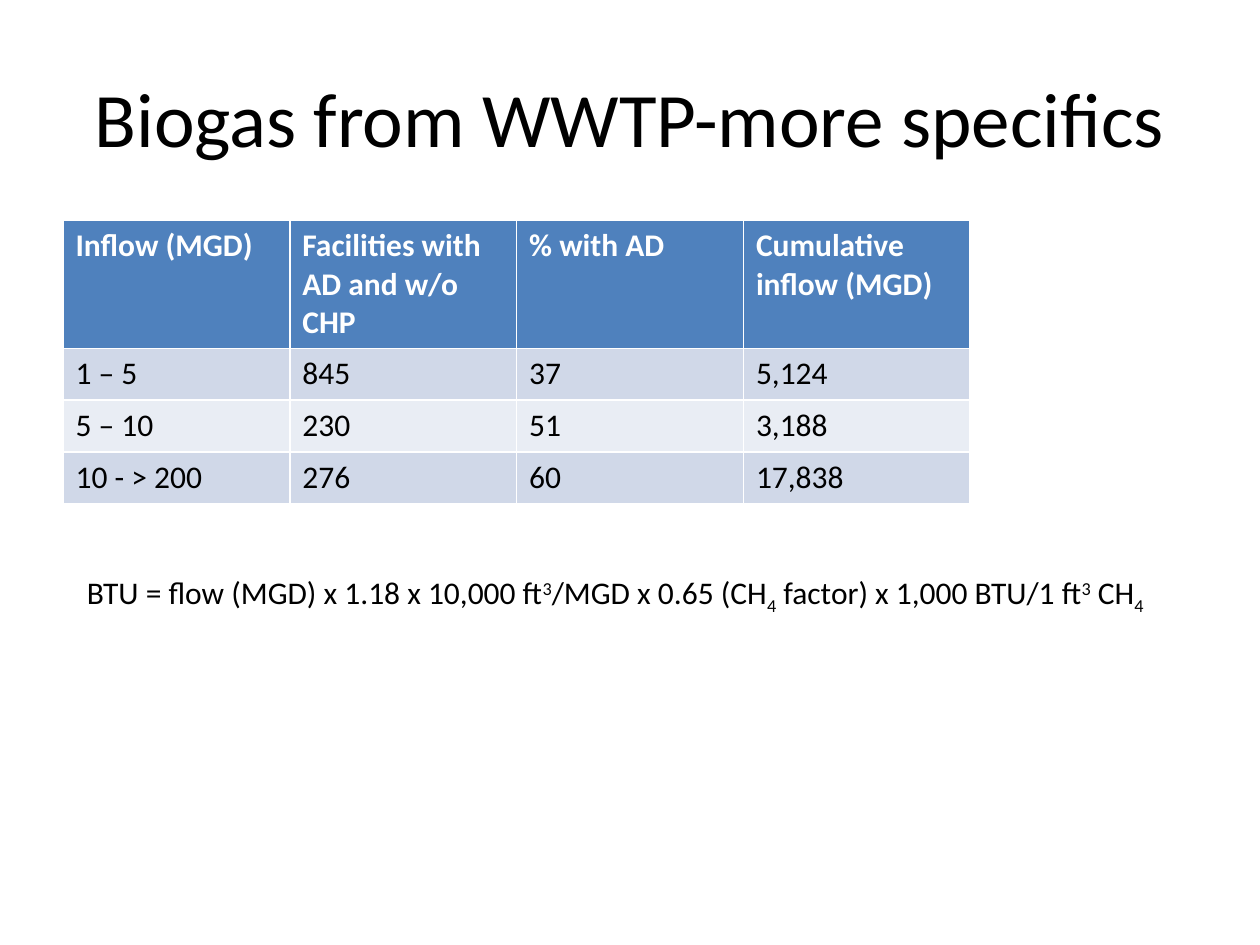
"""Build a slide on biogas from wastewater plants, with a table and a BTU formula."""
from pptx import Presentation
from pptx.dml.color import RGBColor
from pptx.enum.text import MSO_ANCHOR, MSO_AUTO_SIZE, PP_ALIGN
from pptx.util import Inches, Pt


def set_font(font, size, color, bold=False):
    font.name = "Calibri"
    font.size = Pt(size)
    font.bold = bold
    font.color.rgb = RGBColor.from_string(color)


deck = Presentation()
deck.slide_width, deck.slide_height = Inches(10), Inches(7.5)
page = deck.slides.add_slide(deck.slide_layouts[5])

title = page.shapes.title
title.left, title.top = Inches(0.5), Inches(0.3)
title.width, title.height = Inches(9), Inches(1.25)
title.text_frame.text = "Biogas from WWTP-more specifics"
title.text_frame.vertical_anchor = MSO_ANCHOR.MIDDLE
para = title.text_frame.paragraphs[0]
para.alignment = PP_ALIGN.CENTER
set_font(para.font, 44, "000000")

rows = [
    ("Inflow (MGD)", "Facilities with AD and w/o CHP", "% with AD", "Cumulative inflow (MGD)"),
    ("1 – 5", "845", "37", "5,124"),
    ("5 – 10", "230", "51", "3,188"),
    ("10 - > 200", "276", "60", "17,838"),
]
row_fills = ["4F81BD", "D0D8E8", "E9EDF4", "D0D8E8"]
row_heights = [0.99, 0.41, 0.41, 0.41]
table = page.shapes.add_table(
    len(rows), len(rows[0]), Inches(0.5), Inches(1.75), Inches(7.2), Inches(2.22)
).table
for row_index, (row, fill, height) in enumerate(zip(rows, row_fills, row_heights)):
    table.rows[row_index].height = Inches(height)
    is_header = row_index == 0
    for column_index, text in enumerate(row):
        cell = table.cell(row_index, column_index)
        cell.text = text
        cell.fill.solid()
        cell.fill.fore_color.rgb = RGBColor.from_string(fill)
        set_font(cell.text_frame.paragraphs[0].font, 18, "FFFFFF" if is_header else "000000", is_header)

formula = [
    ("BTU = flow (MGD) x 1.18 x 10,000 ft", 0),
    ("3", 30),
    ("/MGD x 0.65 (CH", 0),
    ("4", -25),
    (" factor) x 1,000 BTU/1 ft", 0),
    ("3", 30),
    (" CH", 0),
    ("4", -25),
]
box = page.shapes.add_textbox(Inches(0.59), Inches(4.5), Inches(8.91), Inches(0.4))
box.text_frame.word_wrap = False
box.text_frame.auto_size = MSO_AUTO_SIZE.SHAPE_TO_FIT_TEXT
para = box.text_frame.paragraphs[0]
set_font(para.font, 18, "000000")
for text, baseline in formula:
    span = para.add_run()
    span.text = text
    if baseline:
        span.font._element.set("baseline", str(baseline * 1000))

deck.save("out.pptx")
